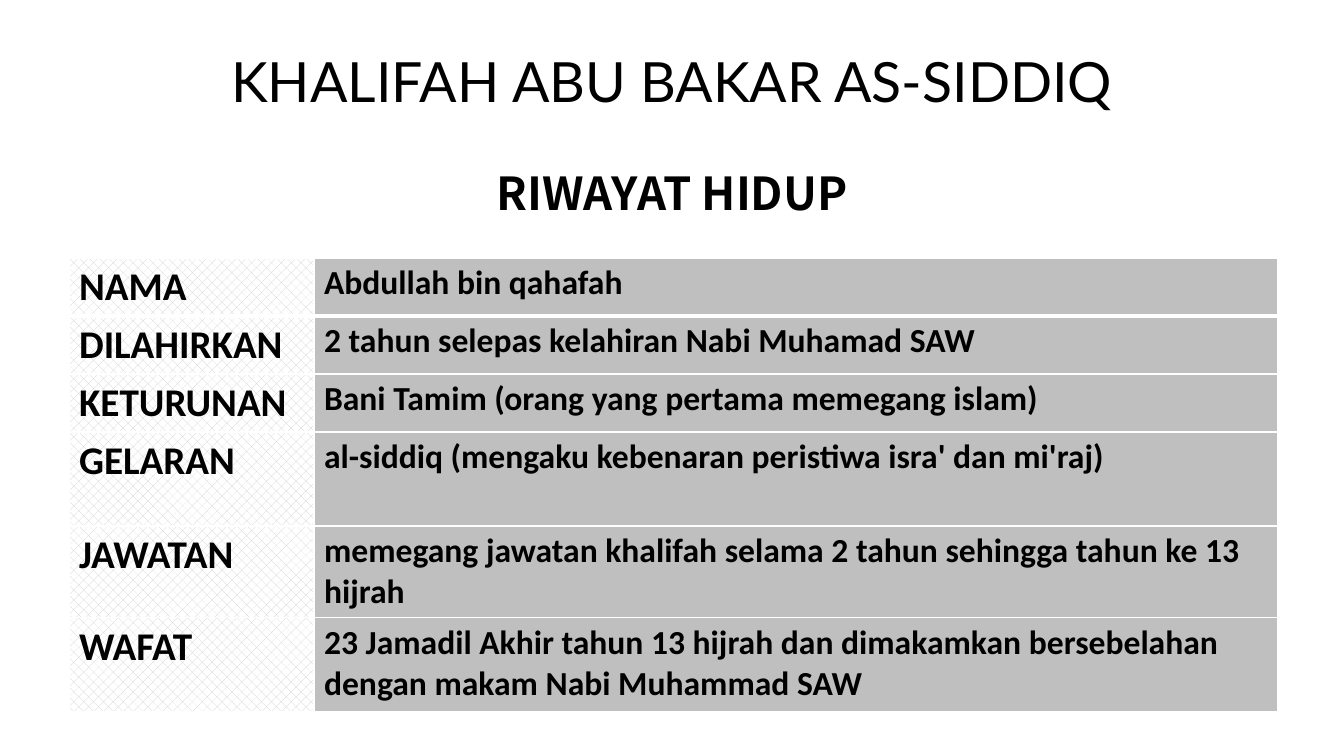
from lxml.etree import SubElement
from pptx import Presentation
from pptx.dml.color import RGBColor
from pptx.enum.dml import MSO_PATTERN
from pptx.enum.text import MSO_ANCHOR, PP_ALIGN
from pptx.oxml.ns import qn
from pptx.util import Emu, Pt

# Content
TITLE = "KHALIFAH ABU BAKAR AS-SIDDIQ"
SUBTITLE = "RIWAYAT HIDUP"
BIOGRAPHY = [  # label, detail, row height in px
    ("NAMA", "Abdullah bin qahafah", 58),
    ("DILAHIRKAN", "2 tahun selepas kelahiran Nabi Muhamad SAW", 58),
    ("KETURUNAN", "Bani Tamim (orang yang pertama memegang islam)", 58),
    ("GELARAN", "al-siddiq (mengaku kebenaran peristiwa isra' dan mi'raj)", 94),
    ("JAWATAN", "memegang jawatan khalifah selama 2 tahun sehingga tahun ke 13 hijrah", 92),
    ("WAFAT", "23 Jamadil Akhir tahun 13 hijrah dan dimakamkan bersebelahan "
              "dengan makam Nabi Muhammad SAW", 94),
]

THEME = {
    "ink": "000000", "paper": "FFFFFF", "hatch": "D0CECE", "detail": "BFBFBF",
    "title": ("Lato", 39.6, False),
    "subtitle": ("Noto Sans CJK SC", 32.4, True),
    "label_text": ("Calibri", 28, True),
    "detail_text": ("Calibri", 24, True),
}

# Layout in px
SLIDE_W, SLIDE_H = 1344, 756
HEADING_LEFT, HEADING_W = 92, 1160
TABLE_LEFT, TABLE_TOP = 69, 258
COLUMN_WIDTHS = (245, 964)


def px(length):
    return Emu(round(length * 914400 / 100.8))


def color(name):
    return RGBColor.from_string(THEME[name])


def write(frame, text, style):
    font_name, size, bold = THEME[style]
    run = frame.paragraphs[0].add_run()
    run.text = text
    run.font.name, run.font.size, run.font.bold = font_name, Pt(size), bold
    run.font.color.rgb = color("ink")


def add_heading(slide, text, style, top, height):
    frame = slide.shapes.add_textbox(
        px(HEADING_LEFT), px(top), px(HEADING_W), px(height)).text_frame
    frame.word_wrap = True
    frame.vertical_anchor = MSO_ANCHOR.MIDDLE
    frame.paragraphs[0].alignment = PP_ALIGN.CENTER
    write(frame, text, style)


def add_borders(cell, row):
    """White rules all round, thicker between the first two rows."""
    widths = {"L": 1, "R": 1, "T": 3 if row == 1 else 1, "B": 3 if row == 0 else 1}
    properties = cell._tc.get_or_add_tcPr()
    for side, width in widths.items():
        line = SubElement(properties, qn(f"a:ln{side}"), w=str(Pt(width)))
        fill = SubElement(line, qn("a:solidFill"))
        SubElement(fill, qn("a:srgbClr"), val=THEME["paper"])


def add_biography(slide):
    heights = [height for _, _, height in BIOGRAPHY]
    table = slide.shapes.add_table(
        len(BIOGRAPHY), len(COLUMN_WIDTHS), px(TABLE_LEFT), px(TABLE_TOP),
        px(sum(COLUMN_WIDTHS)), px(sum(heights))).table
    table.first_row = table.horz_banding = False
    for column, width in zip(table.columns, COLUMN_WIDTHS):
        column.width = px(width)
    for row, (label, detail, height) in enumerate(BIOGRAPHY):
        table.rows[row].height = px(height)
        label_cell, detail_cell = table.cell(row, 0), table.cell(row, 1)
        add_borders(label_cell, row)
        add_borders(detail_cell, row)
        # Hatched label, plain grey detail
        label_cell.fill.patterned()
        label_cell.fill.pattern = MSO_PATTERN.PERCENT_30
        label_cell.fill.fore_color.rgb = color("hatch")
        label_cell.fill.back_color.rgb = color("paper")
        detail_cell.fill.solid()
        detail_cell.fill.fore_color.rgb = color("detail")
        write(label_cell.text_frame, label, "label_text")
        write(detail_cell.text_frame, detail, "detail_text")


def main():
    deck = Presentation()
    deck.slide_width, deck.slide_height = px(SLIDE_W), px(SLIDE_H)
    slide = deck.slides.add_slide(deck.slide_layouts[6])
    # Headings
    add_heading(slide, TITLE, "title", 40, 80)
    add_heading(slide, SUBTITLE, "subtitle", 152, 80)
    # Biography table
    add_biography(slide)
    deck.save("out.pptx")


if __name__ == "__main__":
    main()
